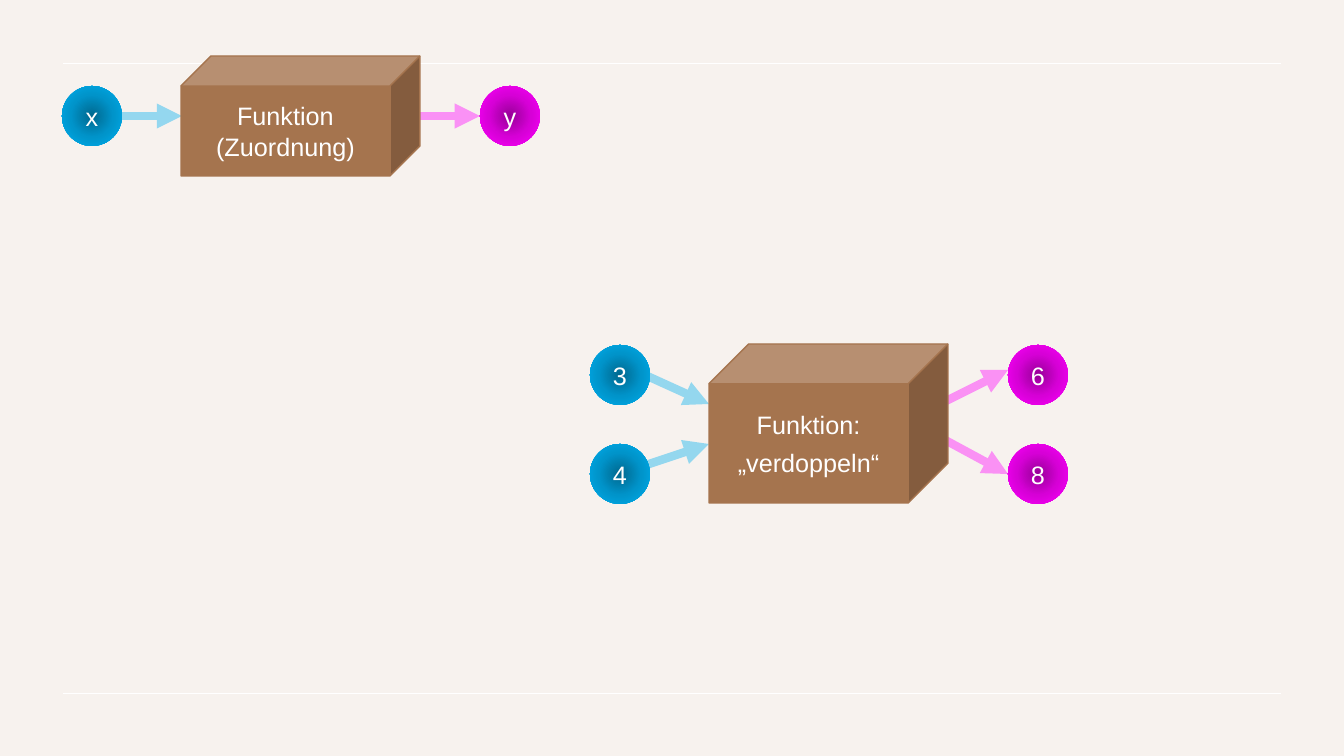
import dataclasses

import pptx
import pptx.dml.color
import pptx.enum.shapes
import pptx.enum.text
import pptx.oxml
import pptx.oxml.ns
import pptx.util

EMU_PER_PX = 914400 / 100.8
FONT = "Arial"
BALL = 60
COLORS = {
    "background": "F7F2EE",
    "white": "FFFFFF",
    "box": "A5744E",
    "input": "00B0F0",
    "output": "FF00FF",
    "input_light": "94D7EF",
    "output_light": "FA91F5",
}
# Radial gradients from the centre outwards
GRADIENTS = {
    "input": ("00688E", "0094CA", "00B0F0"),
    "output": ("970097", "D700D7", "FF00FF"),
}
SHAPES = pptx.enum.shapes.MSO_SHAPE


@dataclasses.dataclass
class Box:
    x: int
    y: int
    w: int
    h: int
    lines: tuple[str, ...]
    gap_pt: int = 0


@dataclasses.dataclass
class Ball:
    x: int
    y: int
    text: str
    kind: str


@dataclasses.dataclass
class Line:
    x1: int
    y1: int
    x2: int
    y2: int
    color: str
    width_pt: float = 6
    alpha: int = 100
    arrow: bool = True


RULES = [Line(1281, y, 63, y, "white", 0.5, arrow=False) for y in (63, 693)]
ARROWS = [
    Line(122, 116, 182, 116, "input_light"),
    Line(420, 116, 480, 116, "output_light"),
    Line(634, 370, 709, 404, "input", alpha=40),
    Line(934, 407, 1008, 370, "output", alpha=40),
    Line(634, 469, 709, 444, "input", alpha=40),
    Line(934, 434, 1008, 474, "output", alpha=40),
]
BOXES = [
    Box(181, 56, 239, 120, ("Funktion", "(Zuordnung)")),
    Box(709, 344, 239, 159, ("Funktion:", "„verdoppeln“"), gap_pt=6),
]
BALLS = [
    Ball(62, 86, "x", "input"),
    Ball(480, 86, "y", "output"),
    Ball(590, 345, "3", "input"),
    Ball(1008, 345, "6", "output"),
    Ball(590, 444, "4", "input"),
    Ball(1008, 444, "8", "output"),
]


def px(n: int) -> pptx.util.Emu:
    return pptx.util.Emu(round(n * EMU_PER_PX))


def rgb(name: str) -> pptx.dml.color.RGBColor:
    return pptx.dml.color.RGBColor.from_string(COLORS[name])


def add_element(parent, tag: str, **attrs: str):
    el = parent.makeelement(pptx.oxml.ns.qn(tag), attrs)
    parent.append(el)
    return el


def add_line(slide, line: Line) -> None:
    cxn = slide.shapes.add_connector(
        pptx.enum.shapes.MSO_CONNECTOR.STRAIGHT,
        px(line.x1), px(line.y1), px(line.x2), px(line.y2),
    )
    cxn.line.color.rgb = rgb(line.color)
    cxn.line.width = pptx.util.Pt(line.width_pt)
    spPr = cxn._element.spPr
    ln = spPr.find(pptx.oxml.ns.qn("a:ln"))
    if line.alpha < 100:
        clr = ln.find(".//" + pptx.oxml.ns.qn("a:srgbClr"))
        add_element(clr, "a:alpha", val=str(line.alpha * 1000))
    if line.arrow:
        add_element(ln, "a:tailEnd", type="triangle")
    add_element(spPr, "a:effectLst")


def write_text(sp, lines: tuple[str, ...], gap_pt: int = 0) -> None:
    tf = sp.text_frame
    tf.word_wrap = True
    tf.vertical_anchor = pptx.enum.text.MSO_ANCHOR.MIDDLE
    for i, text in enumerate(lines):
        p = tf.add_paragraph() if i else tf.paragraphs[0]
        p.alignment = pptx.enum.text.PP_ALIGN.CENTER
        if i:
            p.space_before = pptx.util.Pt(gap_pt)
        r = p.add_run()
        r.text = text
        r.font.name = FONT
        r.font.size = pptx.util.Pt(18)
        r.font.color.rgb = rgb("white")


def add_box(slide, box: Box) -> None:
    sp = slide.shapes.add_shape(SHAPES.CUBE, px(box.x), px(box.y), px(box.w), px(box.h))
    sp.shadow.inherit = False
    sp.fill.solid()
    sp.fill.fore_color.rgb = rgb("box")
    sp.line.color.rgb = rgb("box")
    sp.line.width = pptx.util.Pt(1)
    write_text(sp, box.lines, box.gap_pt)


def fill_radial(sp, stops: tuple[str, ...]) -> None:
    spPr = sp._element.spPr
    grad = add_element(spPr, "a:gradFill", rotWithShape="1")
    gs_list = add_element(grad, "a:gsLst")
    for i, color in enumerate(stops):
        gs = add_element(gs_list, "a:gs", pos=str(i * 50000))
        add_element(gs, "a:srgbClr", val=color)
    circle = add_element(grad, "a:path", path="circle")
    add_element(circle, "a:fillToRect", l="50000", t="50000", r="50000", b="50000")
    spPr.find(pptx.oxml.ns.qn("a:prstGeom")).addnext(grad)


def add_ball(slide, ball: Ball) -> None:
    sp = slide.shapes.add_shape(SHAPES.OVAL, px(ball.x), px(ball.y), px(BALL), px(BALL))
    sp.shadow.inherit = False
    sp.line.fill.background()
    fill_radial(sp, GRADIENTS[ball.kind])
    write_text(sp, (ball.text,))


def main() -> None:
    prs = pptx.Presentation()
    prs.slide_width, prs.slide_height = px(1344), px(756)
    slide = prs.slides.add_slide(prs.slide_layouts[6])
    slide.background.fill.solid()
    slide.background.fill.fore_color.rgb = rgb("background")

    # Rules and arrows lie behind the boxes and balls
    for line in RULES + ARROWS:
        add_line(slide, line)
    for box in BOXES:
        add_box(slide, box)
    for ball in BALLS:
        add_ball(slide, ball)

    prs.save("out.pptx")


if __name__ == "__main__":
    main()
